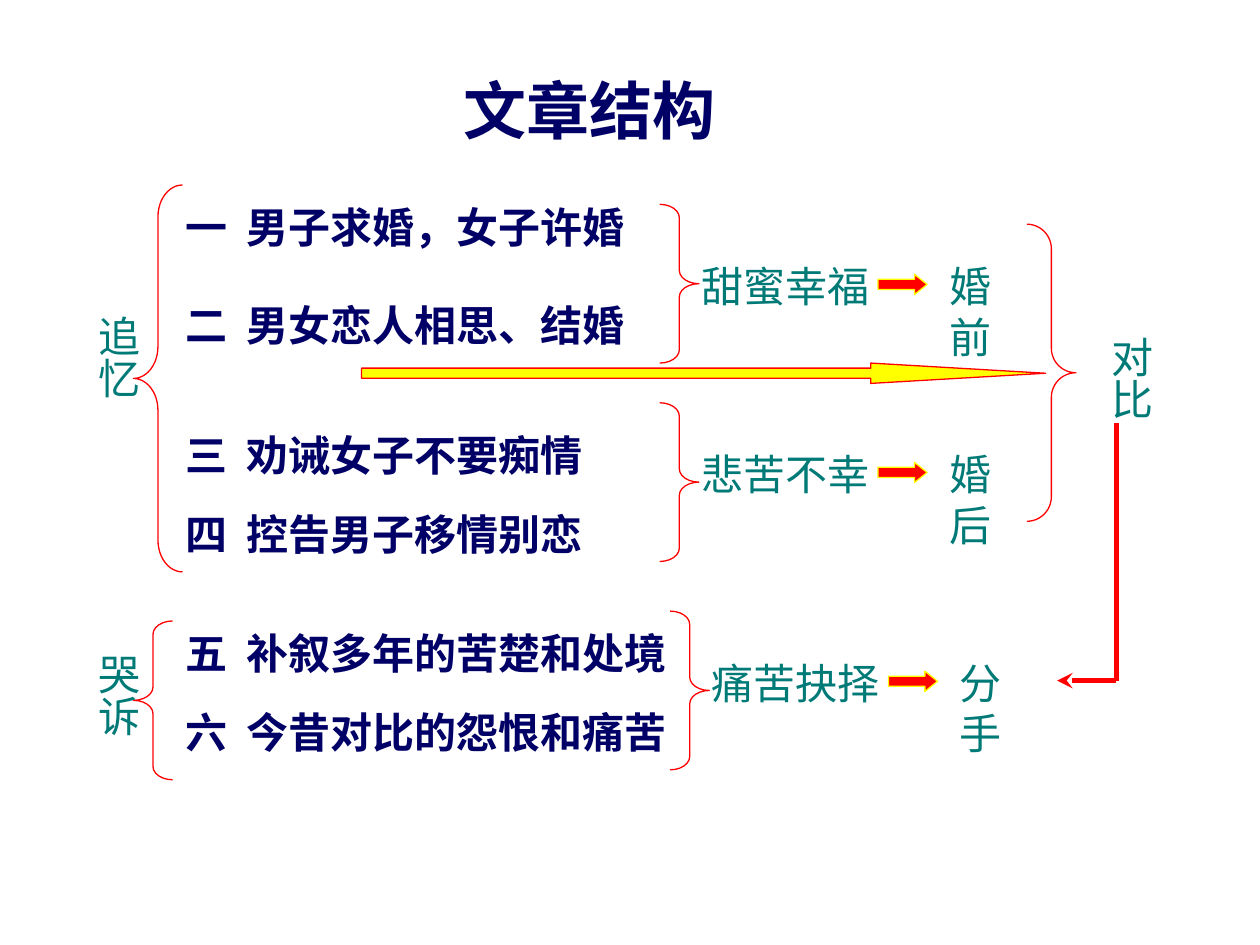
from lxml import etree
from pptx import Presentation
from pptx.dml.color import RGBColor
from pptx.enum.shapes import MSO_CONNECTOR, MSO_SHAPE
from pptx.enum.text import MSO_ANCHOR, MSO_AUTO_SIZE, PP_ALIGN
from pptx.oxml import parse_xml
from pptx.oxml.ns import nsdecls, qn
from pptx.util import Cm, Pt

LEFT_BRACE, RIGHT_BRACE = MSO_SHAPE.LEFT_BRACE, MSO_SHAPE.RIGHT_BRACE
RIGHT_ARROW, STRAIGHT = MSO_SHAPE.RIGHT_ARROW, MSO_CONNECTOR.STRAIGHT
COLORS = {"navy": "000066", "teal": "007A77", "red": "FF0000", "yellow": "FFFF00"}

# All positions and sizes are in centimetres.
TITLE = "文章结构"
SECTIONS = [  # number, summary, top, width
    ("一", "男子求婚，女子许婚", 3.94, 10.41),
    ("二", "男女恋人相思、结婚", 5.92, 10.62),
    ("三", "劝诫女子不要痴情", 8.53, 9.4),
    ("四", "控告男子移情别恋", 10.13, 9.6),
    ("五", "补叙多年的苦楚和处境", 12.52, 11.4),
    ("六", "今昔对比的怨恨和痛苦", 14.12, 11.4),
]
STAGES = [  # feeling, outcome, left, top, top of brace
    ("甜蜜幸福", "婚前", 13.89, 5.13, 4.12),
    ("悲苦不幸", "婚后", 13.89, 8.92, 8.12),
    ("痛苦抉择", "分手", 14.1, 13.13, 12.32),
]
VERTICAL_LABELS = [("追忆", 1.5, 6.12), ("哭诉", 1.5, 12.93), ("对比", 21.92, 6.53)]
OUTER_BRACES = [  # shape, box, curve
    (LEFT_BRACE, (2.69, 3.73, 0.99, 7.8), 0.65),
    (LEFT_BRACE, (2.69, 12.52, 0.79, 3.2), 0.34),
    (RIGHT_BRACE, (20.7, 4.52, 0.99, 5.99), 0.5),
]
CONTRAST_ARROW = (7.29, 7.32, 13.79, 0.41)
RESULT_PATH = [(22.5, 8.53), (22.5, 13.72), (21.31, 13.72)]

SECTION_LEFT, SECTION_TAB, LINE_HEIGHT = 3.5, 1.22, 1.27
FEELING_WIDTH, OUTCOME_WIDTH = 3.89, 2.18
BRACE_OFFSET, ARROW_OFFSET, OUTCOME_OFFSET = -0.59, 3.81, 5.0


def rgb(name):
    return RGBColor.from_string(COLORS[name])


def box(values):
    return [Cm(value) for value in values]


def write(frame, text, color, size=24, bold=False, wrap=True):
    formats = {"word_wrap": wrap, "auto_size": MSO_AUTO_SIZE.SHAPE_TO_FIT_TEXT,
               "vertical_anchor": MSO_ANCHOR.TOP}
    for name, value in formats.items():
        setattr(frame, name, value)
    frame.text = text
    paragraph = frame.paragraphs[0]
    paragraph.alignment = PP_ALIGN.LEFT
    font = paragraph.runs[0].font
    for name, value in {"name": "Times New Roman", "size": Pt(size), "bold": bold}.items():
        setattr(font, name, value)
    font.color.rgb = rgb(color)
    return paragraph


def add_text(slide, place, text, color, **formats):
    frame = slide.shapes.add_textbox(*box(place)).text_frame
    return frame, write(frame, text, color, **formats)


def add_vertical_label(slide, text, left, top):
    frame, _ = add_text(slide, (left, top, 1.52, 1.96), text, "teal", wrap=False)
    frame.margin_left = frame.margin_right = Cm(0.13)
    frame.margin_top = frame.margin_bottom = Cm(0.25)
    frame._txBody.bodyPr.set("vert", "eaVert")


def add_outlined(slide, kind, place, adjustments, line, fill=None):
    shape = slide.shapes.add_shape(kind, *box(place))
    shape.shadow.inherit = False
    for index, value in enumerate(adjustments):
        shape.adjustments[index] = value
    shape.line.color.rgb = rgb(line)
    shape.line.width = Pt(0.75)
    if fill:
        shape.fill.solid()
        shape.fill.fore_color.rgb = rgb(fill)
    else:
        shape.fill.background()


def add_section(slide, number, summary, top, width):
    """Add one numbered line, with a tab stop between number and summary."""
    place = (SECTION_LEFT, top, width, LINE_HEIGHT)
    _, paragraph = add_text(slide, place, f"{number}\t{summary}", "navy", bold=True)
    paragraph._p.get_or_add_pPr().insert(0, parse_xml(
        f'<a:tabLst {nsdecls("a")}><a:tab pos="{Cm(SECTION_TAB)}" algn="l"/></a:tabLst>'))


def add_stage(slide, feeling, outcome, left, top, brace_top):
    add_outlined(slide, RIGHT_BRACE, (left + BRACE_OFFSET, brace_top, 0.79, 3.2),
                 (0.34, 0.5), "red")
    add_text(slide, (left, top, FEELING_WIDTH, LINE_HEIGHT), feeling, "teal", wrap=False)
    add_outlined(slide, RIGHT_ARROW, (left + ARROW_OFFSET, top + 0.4, 0.99, 0.41),
                 (0.5, 0.62), "yellow", "red")
    add_text(slide, (left + OUTCOME_OFFSET, top, OUTCOME_WIDTH, LINE_HEIGHT),
             outcome, "teal", wrap=False)


def add_result_path(slide):
    for start, end in zip(RESULT_PATH, RESULT_PATH[1:]):
        connector = slide.shapes.add_connector(STRAIGHT, *box(start + end))
        connector.line.color.rgb = rgb("red")
        connector.line.width = Pt(3)
        etree.SubElement(connector._element.spPr, qn("a:effectLst"))
    etree.SubElement(connector.line._get_or_add_ln(), qn("a:tailEnd"), type="stealth")


def main():
    deck = Presentation()
    deck.slide_width, deck.slide_height = Cm(25.4), Cm(19.05)
    slide = deck.slides.add_slide(deck.slide_layouts[5])

    title = slide.shapes.title
    title.left, title.top, title.width, title.height = box((9.09, 1.32, 6.6, 1.78))
    write(title.text_frame, TITLE, "navy", size=36, bold=True)

    for section in SECTIONS:
        add_section(slide, *section)
    for kind, place, curve in OUTER_BRACES:
        add_outlined(slide, kind, place, (curve, 0.5), "red")
    add_outlined(slide, RIGHT_ARROW, CONTRAST_ARROW, (0.5, 8.6), "red", "yellow")
    for label in VERTICAL_LABELS:
        add_vertical_label(slide, *label)
    for stage in STAGES:
        add_stage(slide, *stage)
    add_result_path(slide)

    deck.save("out.pptx")


if __name__ == "__main__":
    main()
